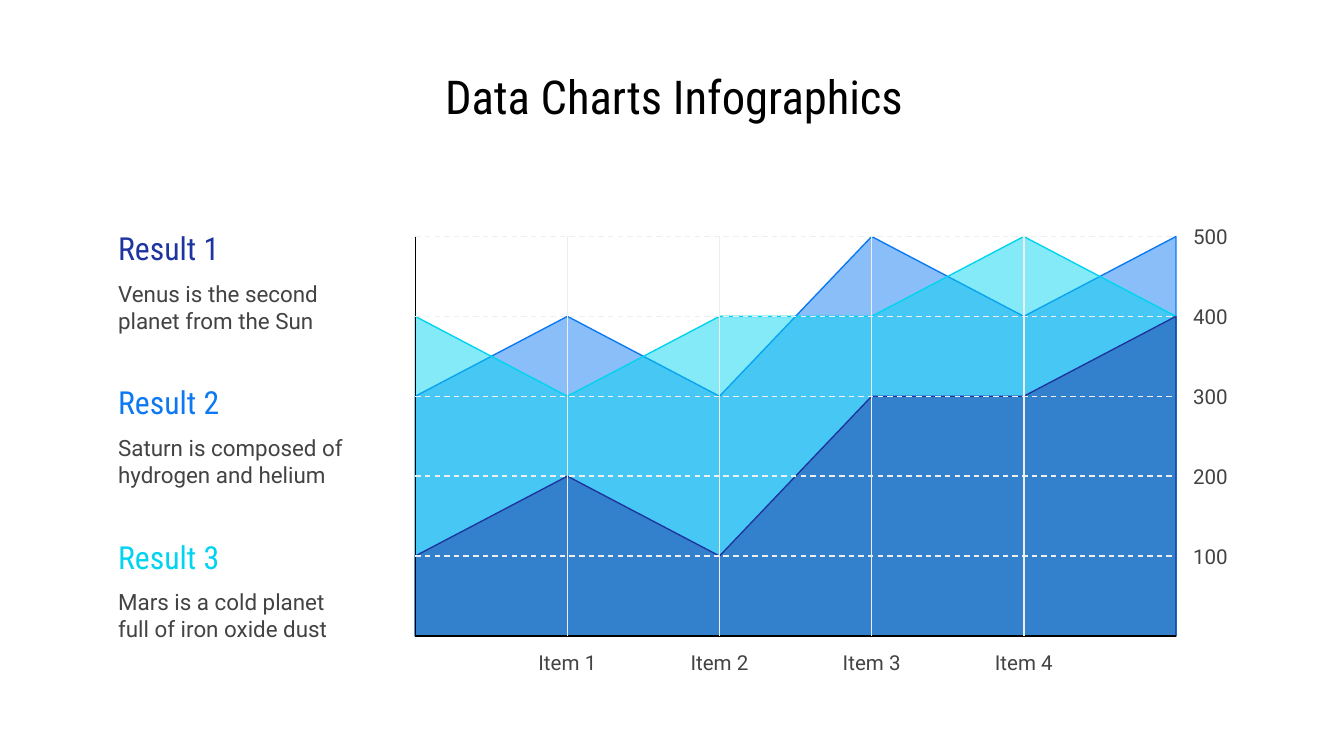
"""Build the Data Charts Infographics slide: three layered areas with their results."""
import pptx
import pptx.dml.color
import pptx.enum.dml
import pptx.enum.shapes
import pptx.enum.text
import pptx.oxml
import pptx.oxml.ns
import pptx.util

Pt = pptx.util.Pt
color = pptx.dml.color.RGBColor.from_string
ALIGN = pptx.enum.text.PP_ALIGN

presentation = pptx.Presentation()
presentation.slide_width = Pt(720)
presentation.slide_height = Pt(405)
slide = presentation.slides.add_slide(presentation.slide_layouts[6])


def add_text(text, left, top, width, height, size, font, fill, align=ALIGN.CENTER, inset=7.2):
    shape = slide.shapes.add_textbox(Pt(left), Pt(top), Pt(width), Pt(height))
    frame = shape.text_frame
    frame.word_wrap = True
    frame.vertical_anchor = pptx.enum.text.MSO_ANCHOR.MIDDLE
    frame.margin_left = frame.margin_right = Pt(inset)
    frame.margin_top = frame.margin_bottom = Pt(7.2)
    paragraph = frame.paragraphs[0]
    paragraph.alignment = align
    run = paragraph.add_run()
    run.text = text
    run.font.size = Pt(size)
    run.font.name = font
    run.font.color.rgb = color(fill)


def add_line(x1, y1, x2, y2, stroke, dashed=False):
    line = slide.shapes.add_connector(
        pptx.enum.shapes.MSO_CONNECTOR.STRAIGHT, Pt(x1), Pt(y1), Pt(x2), Pt(y2))
    line.line.color.rgb = color(stroke)
    line.line.width = Pt(0.75)
    if dashed:
        line.line.dash_style = pptx.enum.dml.MSO_LINE.DASH
    properties = line._element.spPr
    properties.append(pptx.oxml.parse_xml(f"<a:effectLst {pptx.oxml.ns.nsdecls('a')}/>"))


LEFT, BOTTOM = 222.5, 340.7
COLUMN, ROW = 81.5, 42.8
RIGHT, TOP = LEFT + 5 * COLUMN, BOTTOM - 5 * ROW
NAVY, BLUE, CYAN = "1E35A1", "0C79F3", "00D4F0"
GRAY, GRID = "434343", "EEEEEE"

areas = [
    (BLUE, [300, 400, 300, 500, 400, 500]),
    (CYAN, [400, 300, 400, 400, 500, 400]),
    (NAVY, [100, 200, 100, 300, 300, 400]),
]
for fill, values in areas:
    outline = [(Pt(LEFT + index * COLUMN), Pt(BOTTOM - value / 100 * ROW))
               for index, value in enumerate(values)]
    outline += [(Pt(RIGHT), Pt(BOTTOM)), (Pt(LEFT), Pt(BOTTOM))]
    builder = slide.shapes.build_freeform(*outline[0])
    builder.add_line_segments(outline[1:], close=True)
    area = builder.convert_to_shape()
    area.shadow.inherit = False
    area.fill.solid()
    area.fill.fore_color.rgb = color(fill)
    area.line.color.rgb = color(fill)
    area.line.width = Pt(0.75)
    fill_color = area._element.spPr.find(pptx.oxml.ns.qn("a:solidFill"))[0]
    fill_color.append(pptx.oxml.parse_xml(
        f"<a:alpha {pptx.oxml.ns.nsdecls('a')} val='48000'/>"))

add_text("Data Charts Infographics", 38.2, 32.4, 645.8, 38.2, 25, "Roboto Condensed", "000000")

add_line(LEFT, BOTTOM, RIGHT, BOTTOM, "000000")
add_line(LEFT, TOP, LEFT, BOTTOM, "000000")

for number in range(1, 6):
    y = BOTTOM - number * ROW
    add_text(str(number * 100), 633, y - 8, 31, 16, 11, "Roboto", GRAY, inset=0)
    add_line(LEFT, y, RIGHT, y, GRID, dashed=True)

for number in range(1, 5):
    x = LEFT + number * COLUMN
    add_text(f"Item {number}", x - 27.7, 347, 55.4, 16, 11, "Roboto", GRAY)
    add_line(x, TOP, x, BOTTOM, GRID)

results = [
    ("Result 1", "Venus is the second planet from the Sun", NAVY),
    ("Result 2", "Saturn is composed of hydrogen and helium", BLUE),
    ("Result 3", "Mars is a cold planet full of iron oxide dust", CYAN),
]
for index, (heading, description, fill) in enumerate(results):
    top = 122.4 + index * 82.6
    add_text(heading, 56.2, top, 139.7, 21, 17, "Roboto Condensed", fill, ALIGN.LEFT)
    add_text(description, 56.2, top + 20.3, 139.7, 43.2, 12, "Roboto", GRAY, ALIGN.LEFT)

presentation.save("out.pptx")
